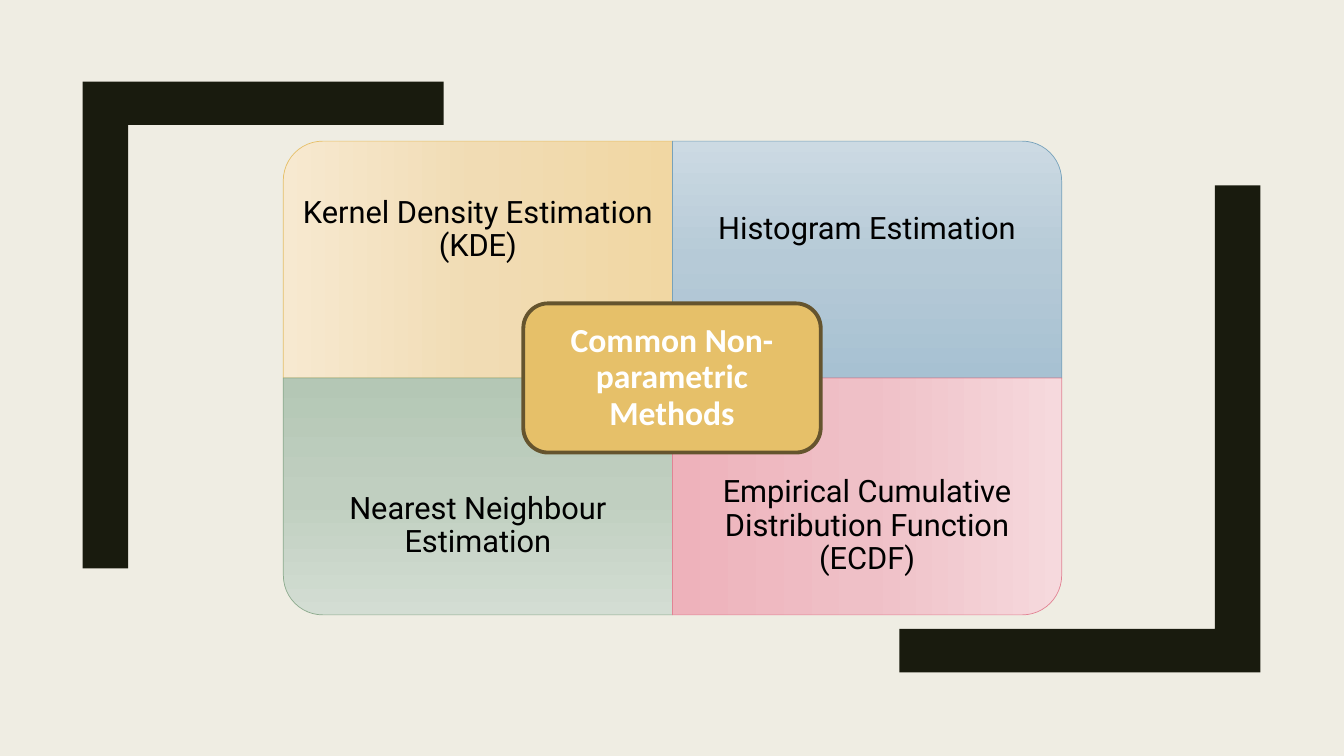
from copy import deepcopy
from dataclasses import dataclass

from pptx import Presentation
from pptx.dml.color import RGBColor
from pptx.enum.shapes import MSO_SHAPE
from pptx.enum.text import MSO_ANCHOR, MSO_AUTO_SIZE, PP_ALIGN
from pptx.oxml.ns import qn
from pptx.util import Inches, Pt

COLORS = {
    "background": "EFEDE3",
    "bracket": "191B0E",
    "gold": "E6C069",
    "gold_dark": "65542E",
    "blue": "77A2BB",
    "green": "8DAB8E",
    "pink": "E28394",
    "black": "000000",
    "white": "FFFFFF",
}
GRADIENTS = {
    "gold": ("F7E9D0", "F1DCB4", "F1D7A3"),
    "blue": ("CCDAE3", "B6CAD7", "A7C1D2"),
    "green": ("D3DDD3", "C0CFC0", "B4C7B5"),
    "pink": ("F6D9DD", "EFC0C7", "EEB2BB"),
}
LEFT, TOP = 2.81, 1.4
TILE_W, TILE_H = 3.86, 2.35
LABEL_H = 1.76
BRACKET = [(1.27, 5.64), (0.82, 5.64), (0.82, 0.81), (4.4, 0.81), (4.4, 1.24), (1.27, 1.24)]
MIRROR_X, MIRROR_Y = 13.32, 7.48


@dataclass
class Quadrant:
    text: str
    color: str
    col: int
    row: int
    rotation: int


QUADRANTS = [
    Quadrant("Kernel Density Estimation (KDE)", "gold", 0, 0, 270),
    Quadrant("Histogram Estimation", "blue", 1, 0, 0),
    Quadrant("Nearest Neighbour Estimation", "green", 0, 1, 180),
    Quadrant("Empirical Cumulative Distribution Function (ECDF)", "pink", 1, 1, 90),
]


def rgb(name: str) -> RGBColor:
    return RGBColor.from_string(COLORS[name])


def add_bracket(s, points: list[tuple[float, float]]) -> None:
    corners = [(Inches(x), Inches(y)) for x, y in points]
    builder = s.shapes.build_freeform(*corners[0])
    builder.add_line_segments(corners[1:], close=True)
    sp = builder.convert_to_shape()
    sp.shadow.inherit = False
    sp.fill.solid()
    sp.fill.fore_color.rgb = rgb("bracket")
    sp.line.fill.background()


def set_text(sp, text: str, font: str, size: int, color: str, inset: float, bold: bool = False) -> None:
    tf = sp.text_frame
    tf.text = text
    tf.word_wrap = True
    tf.auto_size = MSO_AUTO_SIZE.NONE
    tf.vertical_anchor = MSO_ANCHOR.MIDDLE
    tf.margin_left = tf.margin_right = tf.margin_top = tf.margin_bottom = Inches(inset)
    p = tf.paragraphs[0]
    p.alignment = PP_ALIGN.CENTER
    p.line_spacing = 0.9
    r = p.runs[0]
    r.font.name = font
    r.font.size = Pt(size)
    r.font.bold = bold
    r.font.color.rgb = rgb(color)


def set_gradient(sp, stops: tuple[str, ...]) -> None:
    sp.fill.gradient()
    sp.fill.gradient_angle = 270
    gs_list = sp.element.spPr.find(f".//{qn('a:gsLst')}")
    gs_list.append(deepcopy(gs_list[-1]))
    for i, (stop, color) in enumerate(zip(sp.fill.gradient_stops, stops)):
        stop.position = i / (len(stops) - 1)
        stop.color.rgb = RGBColor.from_string(color)


def add_quadrant(s, q: Quadrant) -> None:
    x, y = LEFT + q.col * TILE_W, TOP + q.row * TILE_H
    w, h = (TILE_H, TILE_W) if q.rotation % 180 else (TILE_W, TILE_H)
    sp = s.shapes.add_shape(
        MSO_SHAPE.ROUND_1_RECTANGLE,
        Inches(x + (TILE_W - w) / 2), Inches(y + (TILE_H - h) / 2), Inches(w), Inches(h),
    )
    sp.rotation = q.rotation
    sp.shadow.inherit = False
    set_gradient(sp, GRADIENTS[q.color])
    sp.line.color.rgb = rgb(q.color)
    sp.line.width = Pt(0.5)
    label_y = y + q.row * (TILE_H - LABEL_H)
    label = s.shapes.add_textbox(Inches(x), Inches(label_y), Inches(TILE_W), Inches(LABEL_H))
    set_text(label, q.text, "Roboto", 22, "black", 0.17)


def add_center(s, text: str) -> None:
    sp = s.shapes.add_shape(
        MSO_SHAPE.ROUNDED_RECTANGLE, Inches(5.19), Inches(3.01), Inches(2.95), Inches(1.48)
    )
    sp.shadow.inherit = False
    sp.fill.solid()
    sp.fill.fore_color.rgb = rgb("gold")
    sp.line.color.rgb = rgb("gold_dark")
    sp.line.width = Pt(2.75)
    title = s.shapes.title
    title.left, title.top = Inches(5.26), Inches(3.08)
    title.width, title.height = Inches(2.81), Inches(1.34)
    set_text(title, text, "Calibri", 24, "white", 0.1, bold=True)
    s.shapes.element.append(title.element)


def main() -> None:
    prs = Presentation()
    prs.slide_width, prs.slide_height = Inches(13.33), Inches(7.5)
    s = prs.slides.add_slide(prs.slide_layouts[5])
    s.background.fill.solid()
    s.background.fill.fore_color.rgb = rgb("background")
    add_bracket(s, [(MIRROR_X - x, MIRROR_Y - y) for x, y in BRACKET])
    add_bracket(s, BRACKET)
    for q in QUADRANTS:
        add_quadrant(s, q)
    add_center(s, "Common Non-parametric Methods")
    prs.save("out.pptx")


if __name__ == "__main__":
    main()
